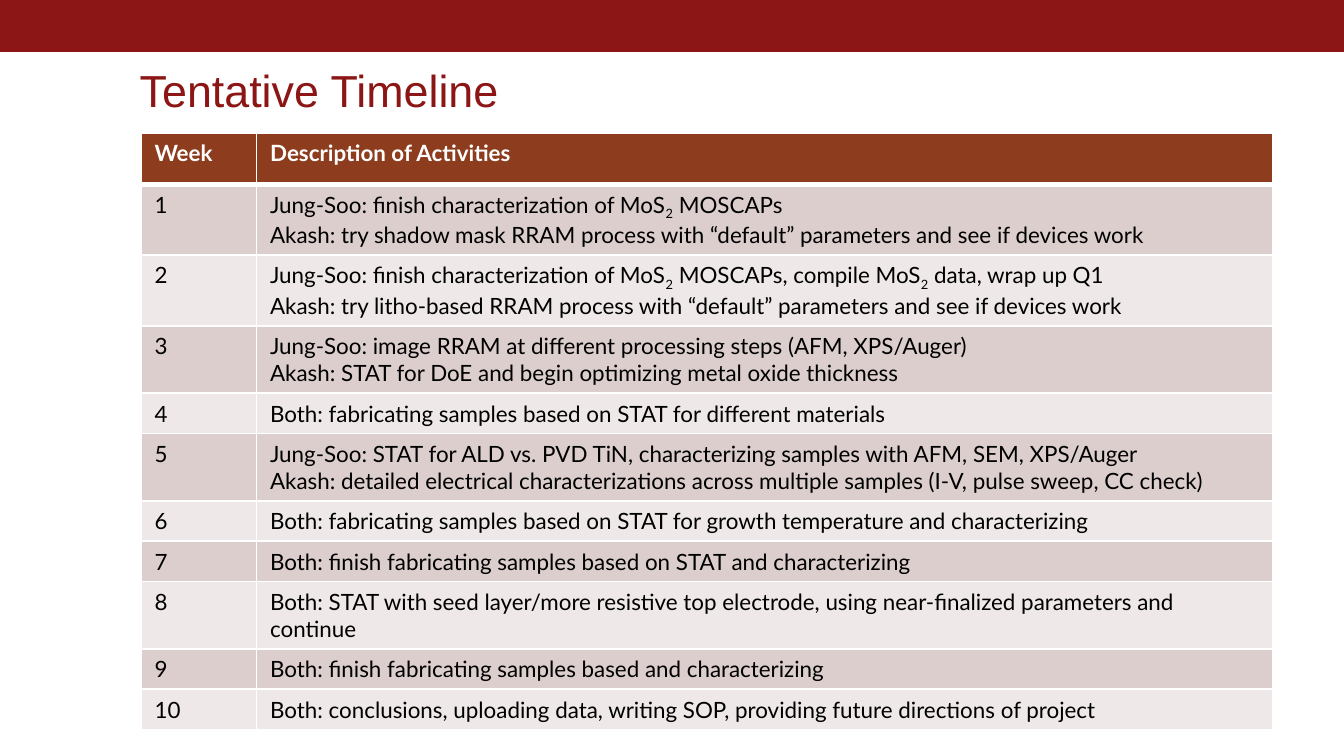
from lxml import etree
from pptx import Presentation
from pptx.dml.color import RGBColor
from pptx.enum.shapes import MSO_SHAPE
from pptx.enum.text import MSO_ANCHOR
from pptx.oxml.ns import qn
from pptx.util import Inches, Pt

RECT = MSO_SHAPE.RECTANGLE
BOTTOM = MSO_ANCHOR.BOTTOM

CARDINAL, HEADER_FILL, WHITE, BLACK = "8C1515", "8D3C1E", "FFFFFF", "000000"
BANDS = ("DBCECD", "EEE8E8")
COL_WIDTHS = (0.86, 7.56)
HEADER_HEIGHT, ONE_LINE, TWO_LINES = 0.38, 0.28, 0.47

TITLE_FONT = {"name": "Arial", "size": Pt(24)}
HEADER_FONT = {"name": "Lato", "size": Pt(12), "bold": True}
BODY_FONT = {"name": "Lato", "size": Pt(12), "bold": False}

# One entry per week, one string per paragraph; underscores enclose subscripts
ACTIVITIES = [
    ["Jung-Soo: finish characterization of MoS_2_ MOSCAPs",
     "Akash: try shadow mask RRAM process with “default” parameters and see if devices work"],
    ["Jung-Soo: finish characterization of MoS_2_ MOSCAPs, compile MoS_2_ data, wrap up Q1",
     "Akash: try litho-based RRAM process with “default” parameters and see if devices work"],
    ["Jung-Soo: image RRAM at different processing steps (AFM, XPS/Auger)",
     "Akash: STAT for DoE and begin optimizing metal oxide thickness"],
    ["Both: fabricating samples based on STAT for different materials"],
    ["Jung-Soo: STAT for ALD vs. PVD TiN, characterizing samples with AFM, SEM, XPS/Auger",
     "Akash: detailed electrical characterizations across multiple samples "
     "(I-V, pulse sweep, CC check)"],
    ["Both: fabricating samples based on STAT for growth temperature and characterizing"],
    ["Both: finish fabricating samples based on STAT and characterizing"],
    ["Both: STAT with seed layer/more resistive top electrode, "
     "using near-finalized parameters and continue"],
    ["Both: finish fabricating samples based and characterizing"],
    ["Both: conclusions, uploading data, writing SOP, providing future directions of project"],
]


def rgb(value):
    return RGBColor.from_string(value)


def add_runs(p, text, font, color):
    for i, part in enumerate(text.split("_")):
        r = p.add_run()
        r.text = part
        for key, value in font.items():
            setattr(r.font, key, value)
        r.font.color.rgb = rgb(color)
        if i % 2:
            r.font._element.set("baseline", "-25000")


def add_banner(s):
    sp = s.shapes.add_shape(RECT, Inches(-0.01), 0, Inches(10.01), Inches(0.38))
    sp.shadow.inherit = False
    sp.fill.solid()
    sp.fill.fore_color.rgb = rgb(CARDINAL)
    sp.line.color.rgb = rgb(CARDINAL)
    sp.line.width = Pt(0.75)


def add_title(s, text):
    sp = s.shapes.add_textbox(Inches(1.04), Inches(0.39), Inches(8.43), Inches(0.53))
    tf = sp.text_frame
    tf.word_wrap = True
    tf.vertical_anchor = BOTTOM
    tf.margin_left = 0
    p = tf.paragraphs[0]
    p.line_spacing = 0.85
    add_runs(p, text, TITLE_FONT, CARDINAL)


def set_borders(cell, widths):
    tcPr = cell._tc.get_or_add_tcPr()
    for side in "LRTB":
        ln = etree.SubElement(tcPr, qn(f"a:ln{side}"), w=str(Pt(widths.get(side, 1))))
        fill = etree.SubElement(ln, qn("a:solidFill"))
        etree.SubElement(fill, qn("a:srgbClr"), val=WHITE)


def fill_cell(cell, lines, font, color, fill, widths):
    set_borders(cell, widths)
    cell.fill.solid()
    cell.fill.fore_color.rgb = rgb(fill)
    tf = cell.text_frame
    for i, line in enumerate(lines):
        p = tf.add_paragraph() if i else tf.paragraphs[0]
        add_runs(p, line, font, color)


def add_timeline(s):
    heights = [HEADER_HEIGHT]
    heights += [TWO_LINES if len(lines) > 1 else ONE_LINE for lines in ACTIVITIES]
    frame = s.shapes.add_table(len(heights), len(COL_WIDTHS), Inches(1.05), Inches(0.99),
                               Inches(sum(COL_WIDTHS)), Inches(sum(heights)))
    table = frame.table
    for column, width in zip(table.columns, COL_WIDTHS):
        column.width = Inches(width)
    for row, height in zip(table.rows, heights):
        row.height = Inches(height)
    frame.height = Inches(4.18)

    # Header row
    for col, text in enumerate(("Week", "Description of Activities")):
        fill_cell(table.cell(0, col), [text], HEADER_FONT, WHITE, HEADER_FILL, {"B": 3})

    # Banded week rows
    for week, lines in enumerate(ACTIVITIES, 1):
        widths = {"T": 3} if week == 1 else {}
        for col, content in enumerate(([str(week)], lines)):
            fill_cell(table.cell(week, col), content, BODY_FONT, BLACK,
                      BANDS[(week - 1) % 2], widths)


def main():
    prs = Presentation()
    # Widescreen, 16:9
    prs.slide_width = Inches(10)
    prs.slide_height = prs.slide_width * 9 // 16
    s = prs.slides.add_slide(prs.slide_layouts[6])
    add_banner(s)
    add_title(s, "Tentative Timeline")
    add_timeline(s)
    prs.save("out.pptx")


if __name__ == "__main__":
    main()
